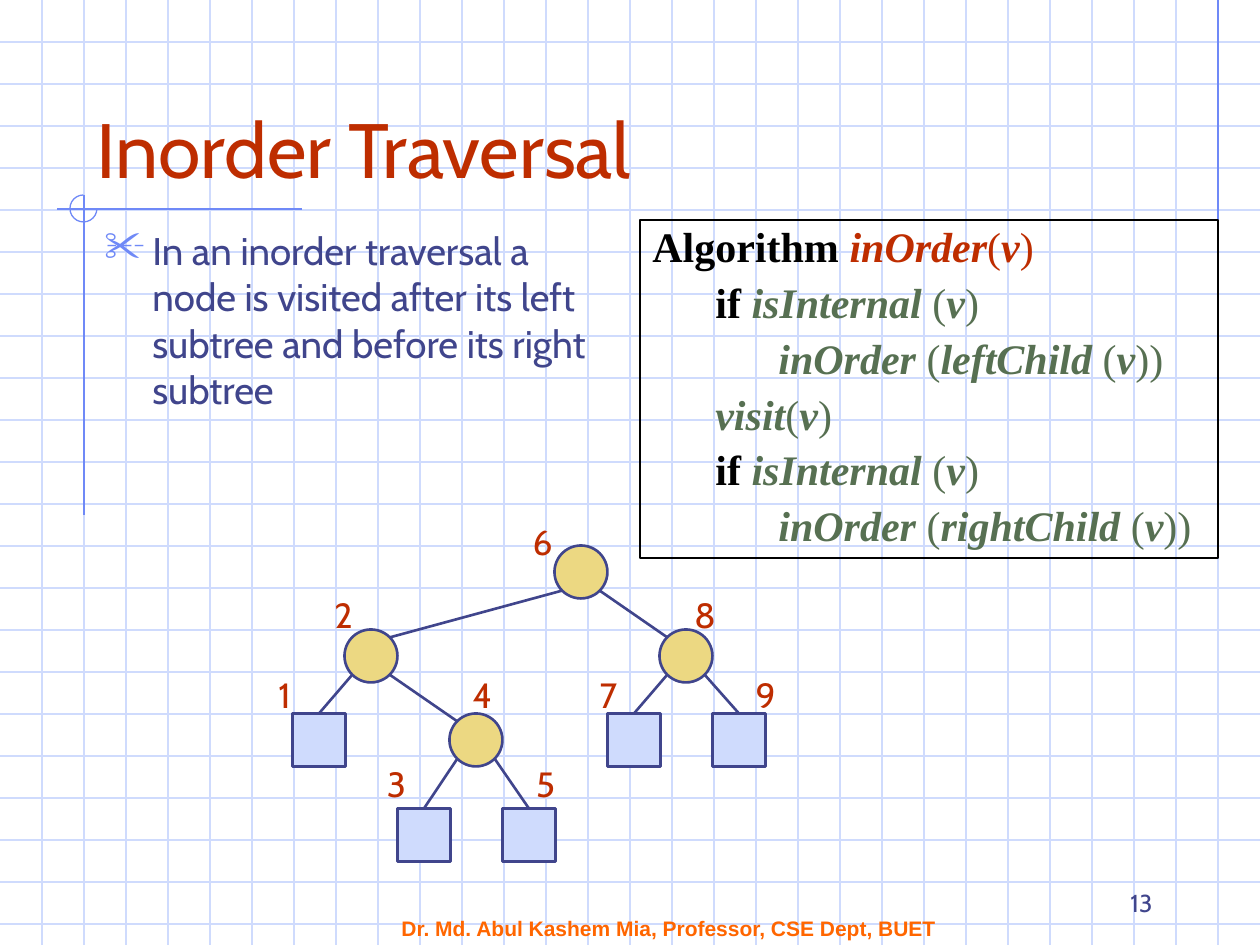
from lxml.etree import SubElement
from pptx import Presentation
from pptx.dml.color import RGBColor
from pptx.enum.shapes import MSO_CONNECTOR, MSO_SHAPE as Shape
from pptx.enum.text import MSO_ANCHOR as Anchor, PP_ALIGN as Align
from pptx.oxml.ns import qn
from pptx.util import Emu, Pt

WIDTH, HEIGHT, GRID = 1260, 945, 42
NODE = 53
COLORS = {
    "grid": "CFDBFD", "accent": "6F89F7", "ink": "40458C", "red": "BE2D00",
    "orange": "FF6600", "green": "577052", "black": "000000",
    "inner": "ECD882", "leaf": "CFDBFD",
}


def px(length):
    return Emu(round(length * 914400 / 126))


def rgb(name):
    return RGBColor.from_string(COLORS[name])


class Sketch:
    """Holds the style and the current slide."""

    def __init__(self, page, font="Cabin"):
        self.page = page
        self.font = font

    def style(self, font, size, color, bold=False, name=None):
        font.name, font.size, font.bold = name or self.font, Pt(size), bold
        font.color.rgb = rgb(color)

    def line(self, x1, y1, x2, y2, color, weight=0.75):
        line = self.page.shapes.add_connector(
            MSO_CONNECTOR.STRAIGHT, px(x1), px(y1), px(x2), px(y2))
        line.line.color.rgb = rgb(color)
        line.line.width = Pt(weight)
        SubElement(line._element.spPr, qn("a:effectLst"))

    def shape(self, kind, x, y, width, height, color, weight=0.75, fill=None):
        shape = self.page.shapes.add_shape(kind, px(x), px(y), px(width), px(height))
        shape.shadow.inherit = False
        shape.line.color.rgb = rgb(color)
        shape.line.width = Pt(weight)
        if fill:
            shape.fill.solid()
            shape.fill.fore_color.rgb = rgb(fill)
        else:
            shape.fill.background()
        return shape

    def text(self, text, x, y, width, height, size, color, anchor=Anchor.TOP,
             align=Align.LEFT, wrap=True, **look):
        box = self.page.shapes.add_textbox(px(x), px(y), px(width), px(height))
        frame = box.text_frame
        frame.word_wrap, frame.vertical_anchor = wrap, anchor
        para = frame.paragraphs[0]
        para.text, para.alignment = text, align
        self.style(para.font, size, color, **look)
        return para

    def bullet(self, para, char, indent, color, percent):
        props = para._p.get_or_add_pPr()
        props.set("marL", str(px(indent)))
        props.set("indent", str(-px(indent)))
        bullet_color = SubElement(props, qn("a:buClr"))
        SubElement(bullet_color, qn("a:srgbClr"), val=COLORS[color])
        SubElement(props, qn("a:buSzPct"), val=str(percent * 1000))
        SubElement(props, qn("a:buChar"), char=char)
        # The schema wants the default run properties after the bullet
        props.append(props.find(qn("a:defRPr")))

    def code(self, lines, x, y, width, height):
        frame = self.shape(Shape.RECTANGLE, x, y, width, height, "black").text_frame
        frame.word_wrap, frame.vertical_anchor = True, Anchor.TOP
        for number, (level, color, spans) in enumerate(lines):
            para = frame.add_paragraph() if number else frame.paragraphs[0]
            para.alignment, para.level = Align.LEFT, level
            para.line_spacing, para.space_before = 0.9, Pt(6)
            props = para._p.get_or_add_pPr()
            props.set("marL", str(px(63 * level)))
            props.set("indent", "0")
            self.style(para.font, 24, color, name="Times New Roman")
            for text in spans:
                span = para.add_run()
                span.text = text
                keyword = text in ("Algorithm ", "if ")
                name = text.strip().isalpha()
                span.font.bold = name
                span.font.italic = name and not keyword
                if keyword:
                    span.font.color.rgb = rgb("black")

    def node(self, x, y, inner):
        kind = Shape.OVAL if inner else Shape.RECTANGLE
        self.shape(kind, x - NODE / 2, y - NODE / 2, NODE, NODE, "ink", 1.5,
                   "inner" if inner else "leaf")

    def edge(self, parent, child, inner):
        (x1, y1), (x2, y2) = parent, child
        diagonal = NODE / 2 * 0.7
        side = 1 if x2 > x1 else -1
        end = (x2 - side * diagonal, y2 - diagonal) if inner else (x2, y2 - NODE / 2)
        self.line(x1 + side * diagonal, y1 + diagonal, *end, "ink", 1.5)


def main():
    deck = Presentation()
    deck.slide_width, deck.slide_height = px(WIDTH), px(HEIGHT)
    page = deck.slides.add_slide(deck.slide_layouts[6])
    sketch = Sketch(page)

    # Graph paper
    for y in range(GRID, HEIGHT, GRID):
        sketch.line(0, y, WIDTH, y, "grid")
    for x in range(GRID, WIDTH, GRID):
        sketch.line(x, 0, x, HEIGHT, "grid")

    # Accent lines and three-quarter circle
    sketch.line(1218, 0, 1218, 325, "accent")
    sketch.line(302, 209, 57, 209, "accent")
    sketch.line(84, 195, 84, 515, "accent")
    arc = sketch.shape(Shape.ARC, 70, 195, 27, 27, "accent")
    arc.adjustments[0], arc.adjustments[1] = 0, 162  # 0 to 270 degrees

    # Footer, page number, title and body
    sketch.text("Dr. Md. Abul Kashem Mia, Professor, CSE Dept, BUET",
                389, 917, 588, 23, 12, "orange", Anchor.MIDDLE, bold=True, name="Arial")
    sketch.text("13", 903, 861, 262, 63, 14, "ink", Anchor.BOTTOM, Align.RIGHT)
    sketch.text("Inorder Traversal", 84, 42, 1071, 158, 44, "red", Anchor.BOTTOM)
    body = sketch.text("In an inorder traversal a node is visited after its left "
                       "subtree and before its right subtree",
                       92, 221, 517, 357, 22, "ink")
    body.space_before = Pt(5.5)
    sketch.bullet(body, "✂", 48, "accent", 110)

    # Algorithm: level, colour, spans
    test = (1, "green", ["if ", "isInternal ", "(", "v", ")"])

    def visit_child(child):
        return 2, "green", ["inOrder", " (", child, "(", "v", "))"]

    sketch.code([
        (0, "red", ["Algorithm ", "inOrder", "(", "v", ")"]),
        test,
        visit_child("leftChild "),
        (1, "green", ["visit", "(", "v", ")"]),
        test,
        visit_child("rightChild "),
    ], 640, 220, 578, 338)

    # Tree, keyed by visiting order: node centres, children, label corners
    centers = {6: (581, 572), 8: (686, 656), 2: (371, 656), 4: (476, 740),
               1: (319, 740), 3: (424, 835), 5: (529, 835),
               7: (634, 740), 9: (739, 740)}
    children = {6: (2, 8), 2: (1, 4), 8: (7, 9), 4: (3, 5)}
    labels = {1: (262, 667), 2: (321, 587), 3: (374, 756), 4: (460, 667),
              5: (523, 756), 6: (520, 514), 7: (586, 667), 8: (682, 587),
              9: (743, 667)}
    for key, center in centers.items():
        sketch.node(*center, key in children)
    for parent, pair in children.items():
        for child in pair:
            sketch.edge(centers[parent], centers[child], child in children)
    for key, corner in labels.items():
        sketch.text(str(key), *corner, 45, 55, 20, "red", align=Align.CENTER, wrap=False)

    deck.save("out.pptx")


if __name__ == "__main__":
    main()
